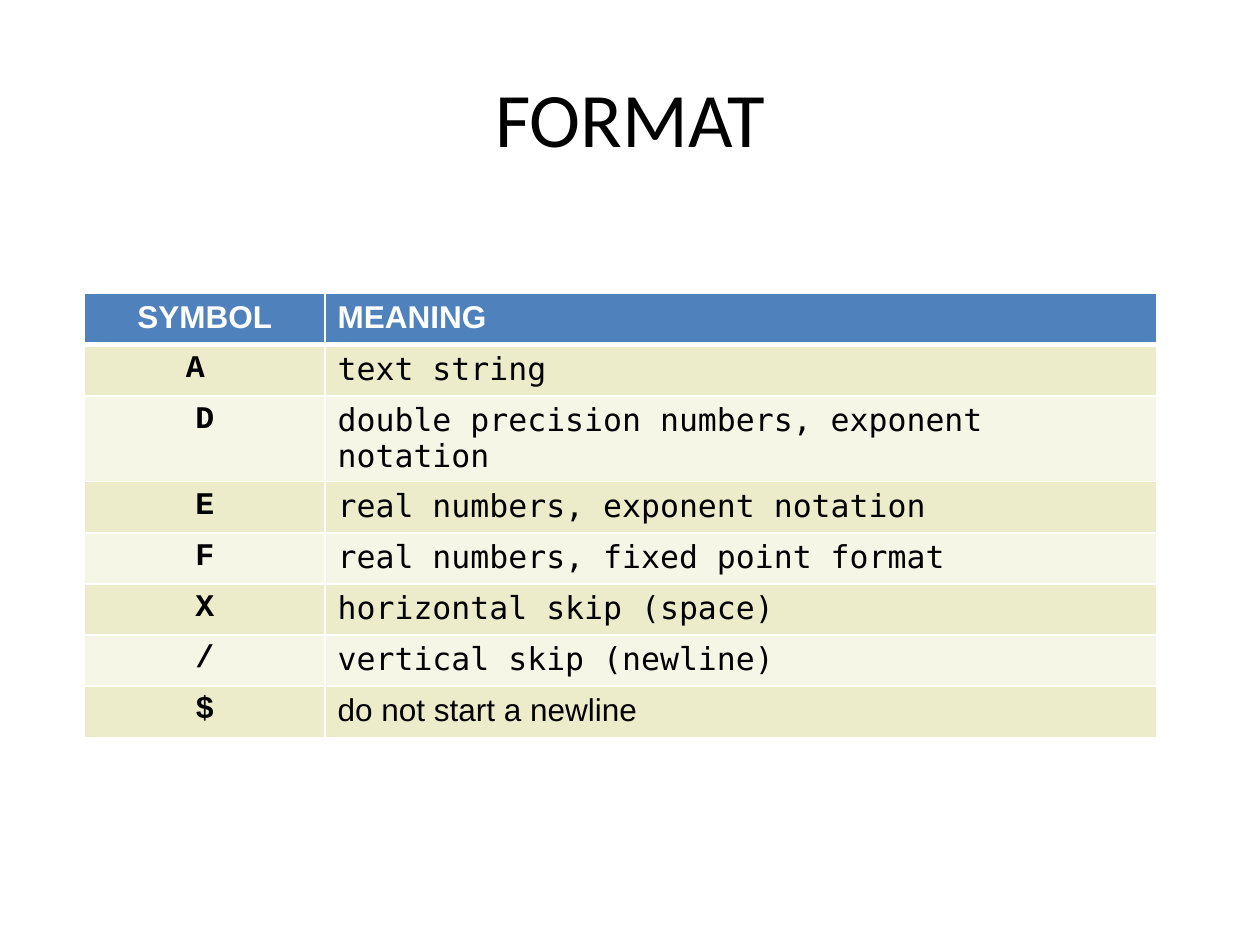
from lxml import etree
from pptx import Presentation
from pptx.dml.color import RGBColor
from pptx.enum.text import MSO_ANCHOR, PP_ALIGN
from pptx.oxml.ns import qn
from pptx.util import Inches, Pt

CENTER, LEFT = PP_ALIGN.CENTER, PP_ALIGN.LEFT
MIDDLE = MSO_ANCHOR.MIDDLE

TITLE = "FORMAT"
HEADER = ("SYMBOL", "MEANING")
SYMBOLS = [
    ("A ", "text string"),
    ("D", "double precision numbers, exponent notation"),
    ("E", "real numbers, exponent notation"),
    ("F", "real numbers, fixed point format"),
    ("X", "horizontal skip (space)"),
    (" / ", "vertical skip (newline)"),
    ("$", "do not start a newline"),
]
COL_WIDTHS = (1.91, 6.6)
BLACK, WHITE = "000000", "FFFFFF"
HEADER_FILL = "4F81BD"
BAND_FILLS = ("ECECCB", "F6F6E7")
SANS, SYMBOL_FONT, MEANING_FONT = "Arial", "Courier New", "DejaVu Sans Mono"


def rgb(value):
    return RGBColor.from_string(value)


def add_text(tf, text, font, size, color, bold=False, align=LEFT):
    p = tf.paragraphs[0]
    p.alignment = align
    r = p.add_run()
    r.text = text
    r.font.name = font
    r.font.size = Pt(size)
    r.font.bold = bold
    r.font.color.rgb = rgb(color)


def set_borders(cell, top, bottom):
    """Give the cell white borders; top and bottom are widths in points."""
    tc_pr = cell._tc.get_or_add_tcPr()
    for side, width in (("L", 1), ("R", 1), ("T", top), ("B", bottom)):
        ln = etree.SubElement(tc_pr, qn(f"a:ln{side}"), w=str(Pt(width)))
        fill = etree.SubElement(ln, qn("a:solidFill"))
        etree.SubElement(fill, qn("a:srgbClr"), val=WHITE)


def cell_font(row, col):
    if row == 0 or (row == len(SYMBOLS) and col == 1):
        return SANS
    return (SYMBOL_FONT, MEANING_FONT)[col]


prs = Presentation()
prs.slide_width, prs.slide_height = Inches(10), Inches(7.5)
s = prs.slides.add_slide(prs.slide_layouts[5])

title = s.shapes.title
title.left, title.top = Inches(0.5), Inches(0.3)
title.width, title.height = Inches(9), Inches(1.25)
title.text_frame.vertical_anchor = MIDDLE
add_text(title.text_frame, TITLE, "Calibri", 44, BLACK, align=CENTER)

rows = [HEADER] + SYMBOLS
table = s.shapes.add_table(len(rows), len(COL_WIDTHS), Inches(0.67), Inches(2.33),
                           Inches(sum(COL_WIDTHS)), Inches(3.25)).table
for column, width in zip(table.columns, COL_WIDTHS):
    column.width = Inches(width)

for i, row in enumerate(rows):
    is_header = i == 0
    for j, text in enumerate(row):
        cell = table.cell(i, j)
        set_borders(cell, top=3 if i == 1 else 1, bottom=3 if is_header else 1)
        cell.fill.solid()
        cell.fill.fore_color.rgb = rgb(HEADER_FILL if is_header else BAND_FILLS[(i - 1) % 2])
        add_text(cell.text_frame, text, cell_font(i, j), 18,
                 WHITE if is_header else BLACK,
                 bold=is_header or j == 0, align=CENTER if j == 0 else LEFT)

prs.save("out.pptx")
